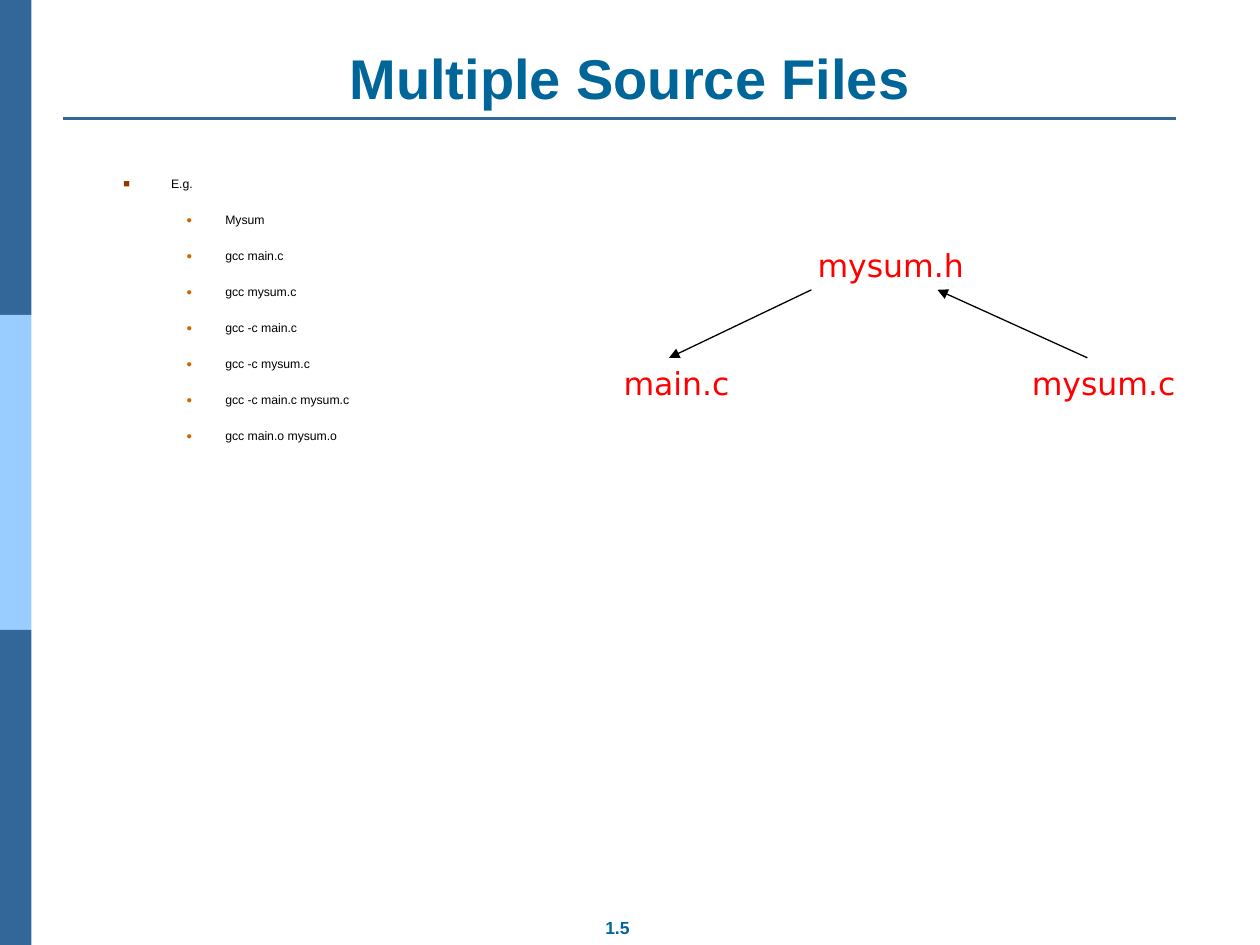
"""Build the slide on compiling multiple source files."""
from dataclasses import dataclass

from lxml.etree import SubElement
from pptx import Presentation
from pptx.dml.color import RGBColor
from pptx.enum.shapes import MSO_CONNECTOR, MSO_SHAPE
from pptx.enum.text import MSO_ANCHOR, PP_ALIGN
from pptx.oxml.ns import qn
from pptx.util import Inches, Pt


@dataclass(frozen=True)
class Theme:
    """Hold the colours, fonts and type sizes of the deck."""
    bar: str = "336699"
    bar_light: str = "99CCFF"
    heading: str = "006699"
    ink: str = "000000"
    file_name: str = "FF0000"
    square_bullet: str = "993300"
    round_bullet: str = "CC6600"
    font: str = "Arial"
    file_font: str = "DejaVu Sans"
    title_size: float = 32
    file_size: float = 18
    number_size: float = 10
    list_size: float = 7
    list_gap: float = 12.2


THEME = Theme()
TITLE_FORMAT = {"name": THEME.font, "size": Pt(THEME.title_size), "bold": True}
NUMBER_FORMAT = {"name": THEME.font, "size": Pt(THEME.number_size), "bold": True}
LIST_FORMAT = {"name": THEME.font, "size": Pt(THEME.list_size)}
FILE_FORMAT = {"name": THEME.file_font, "size": Pt(THEME.file_size)}
BULLETS = [
    {"char": "■", "color": THEME.square_bullet, "percent": 90, "left": 0.38, "hang": 0.38},
    {"char": "●", "color": THEME.round_bullet, "percent": 80, "left": 0.81, "hang": 0.31},
]
LIST_ITEMS = [
    ("E.g.", 0),
    ("Mysum", 1),
    ("gcc main.c", 1),
    ("gcc mysum.c", 1),
    ("gcc -c main.c", 1),
    ("gcc -c mysum.c", 1),
    ("gcc -c main.c mysum.c", 1),
    ("gcc main.o mysum.o", 1),
]
FILES = [("mysum.h", 6.39, 1.9), ("main.c", 4.85, 2.84), ("mysum.c", 8.09, 2.84)]
ARROWS = [((8.63, 2.84), (7.44, 2.3)), ((6.44, 2.3), (5.31, 2.84))]


def add_box(page, left, top, width, height, wrap=True, anchor=MSO_ANCHOR.TOP):
    """Add an empty text box and return its text frame."""
    box = page.shapes.add_textbox(Inches(left), Inches(top), Inches(width), Inches(height))
    frame = box.text_frame
    frame.word_wrap = wrap
    frame.vertical_anchor = anchor
    return frame


def write(para, text, color, formats, align=PP_ALIGN.LEFT):
    """Write one formatted span into a paragraph."""
    para.alignment = align
    span = para.add_run()
    span.text = text
    span.font.color.rgb = RGBColor.from_string(color)
    for name, value in formats.items():
        setattr(span.font, name, value)


def set_bullet(para, bullet):
    """Give a paragraph its hanging indent and coloured bullet."""
    properties = para._p.get_or_add_pPr()
    properties.set("marL", str(Inches(bullet["left"])))
    properties.set("indent", str(-Inches(bullet["hang"])))
    color = SubElement(properties, qn("a:buClr"))
    SubElement(color, qn("a:srgbClr"), val=bullet["color"])
    SubElement(properties, qn("a:buSzPct"), val=str(bullet["percent"] * 1000))
    SubElement(properties, qn("a:buFont"), typeface=THEME.font)
    SubElement(properties, qn("a:buChar"), char=bullet["char"])


def add_list(page, items):
    """Add the two-level bulleted list."""
    frame = add_box(page, 0.88, 1.35, 7.89, 1.48)
    for index, (text, level) in enumerate(items):
        para = frame.add_paragraph() if index else frame.paragraphs[0]
        para.level = level
        para.space_before = Pt(THEME.list_gap)
        write(para, text, THEME.ink, LIST_FORMAT)
        set_bullet(para, BULLETS[level])


def add_side_bar(page, colors, width=0.25, height=2.5):
    """Stack one block per colour down the left edge."""
    for index, color in enumerate(colors):
        block = page.shapes.add_shape(
            MSO_SHAPE.RECTANGLE, 0, Inches(index * height), Inches(width), Inches(height))
        block.shadow.inherit = False
        block.fill.solid()
        block.fill.fore_color.rgb = RGBColor.from_string(color)
        block.line.fill.background()


def add_line(page, start, end, color, width, arrow=False):
    """Add a straight line, with an arrowhead at its end if asked."""
    line = page.shapes.add_connector(
        MSO_CONNECTOR.STRAIGHT, *(Inches(value) for value in (*start, *end)))
    line.line.color.rgb = RGBColor.from_string(color)
    line.line.width = Pt(width)
    if arrow:
        SubElement(line.line._get_or_add_ln(), qn("a:tailEnd"), type="triangle")
    SubElement(line._element.spPr, qn("a:effectLst"))


def main():
    """Build and save the slide."""
    deck = Presentation()
    deck.slide_width, deck.slide_height = Inches(10), Inches(7.5)
    page = deck.slides.add_slide(deck.slide_layouts[6])

    add_side_bar(page, [THEME.bar, THEME.bar_light, THEME.bar])
    add_line(page, (0.5, 0.94), (9.33, 0.94), THEME.bar, 1.5)

    number = add_box(page, 4.41, 7.23, 0.98, 0.27, wrap=False)
    write(number.paragraphs[0], "1.5", THEME.heading, NUMBER_FORMAT, PP_ALIGN.CENTER)
    title = add_box(page, 0.5, 0.3, 9, 0.63, anchor=MSO_ANCHOR.BOTTOM)
    write(title.paragraphs[0], "Multiple Source Files", THEME.heading, TITLE_FORMAT,
          PP_ALIGN.CENTER)

    add_list(page, LIST_ITEMS)
    for name, left, top in FILES:
        label = add_box(page, left, top, 2.39, 0.4)
        write(label.paragraphs[0], name, THEME.file_name, FILE_FORMAT)
    for start, end in ARROWS:
        add_line(page, start, end, THEME.ink, 0.75, arrow=True)

    deck.save("out.pptx")


if __name__ == "__main__":
    main()
